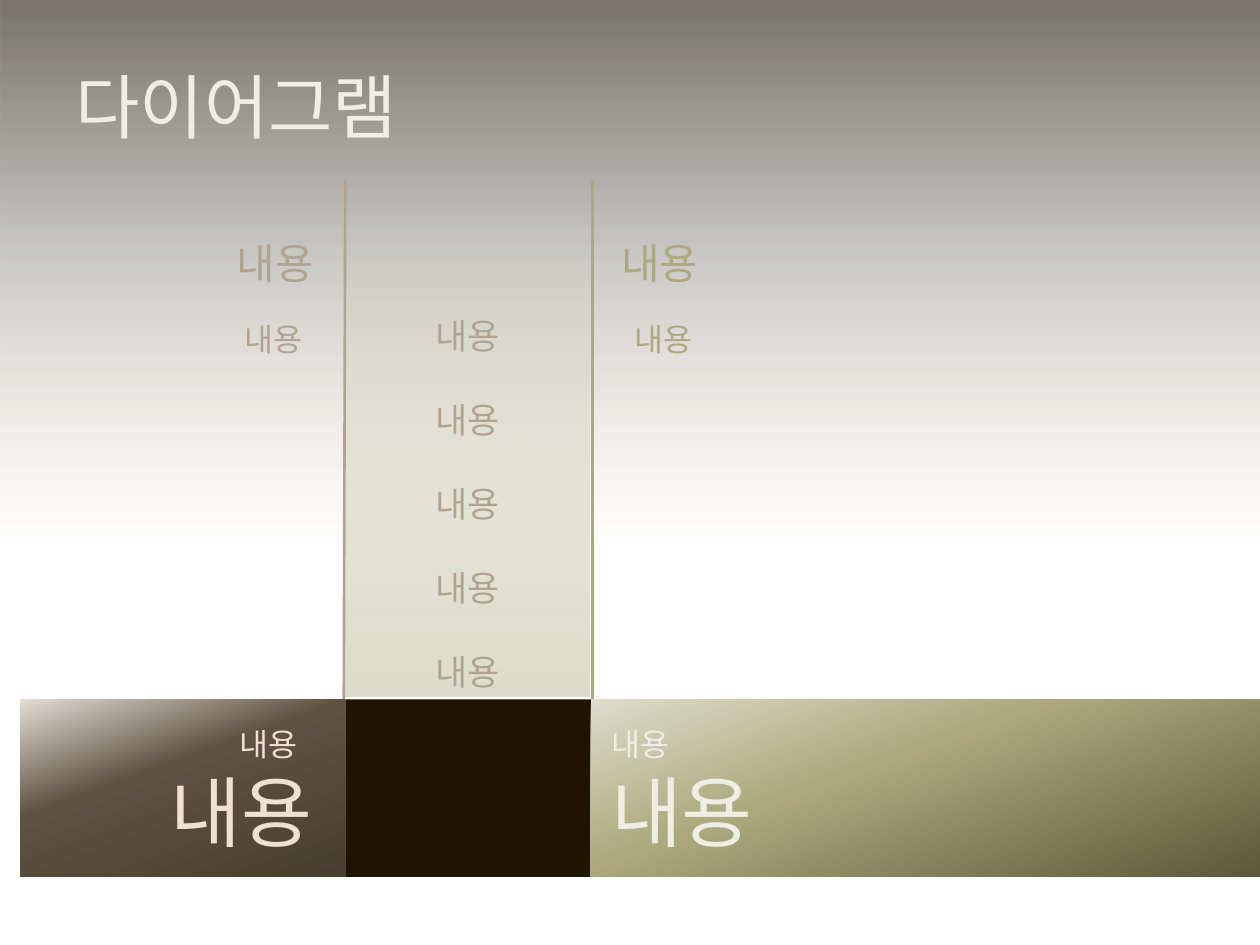
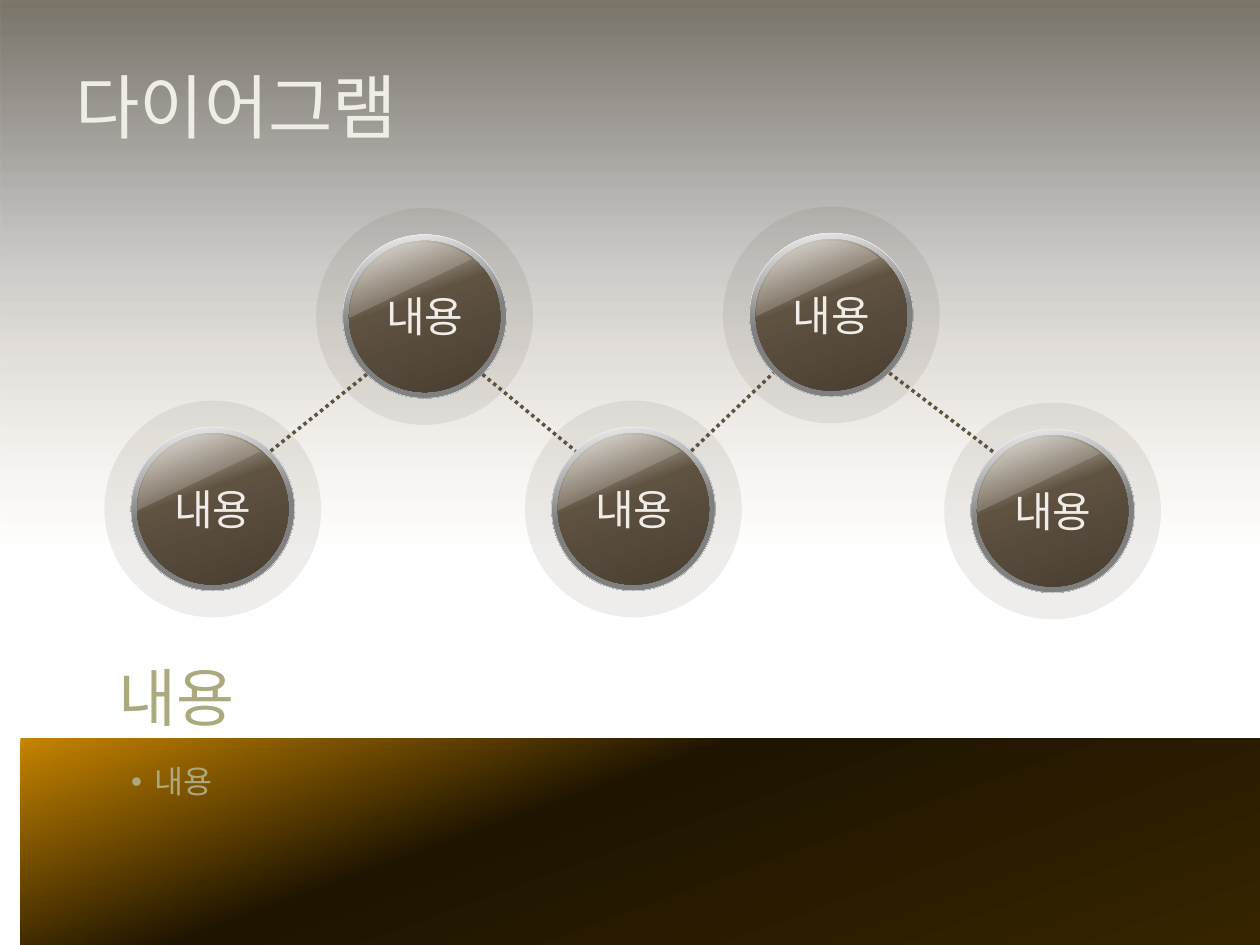
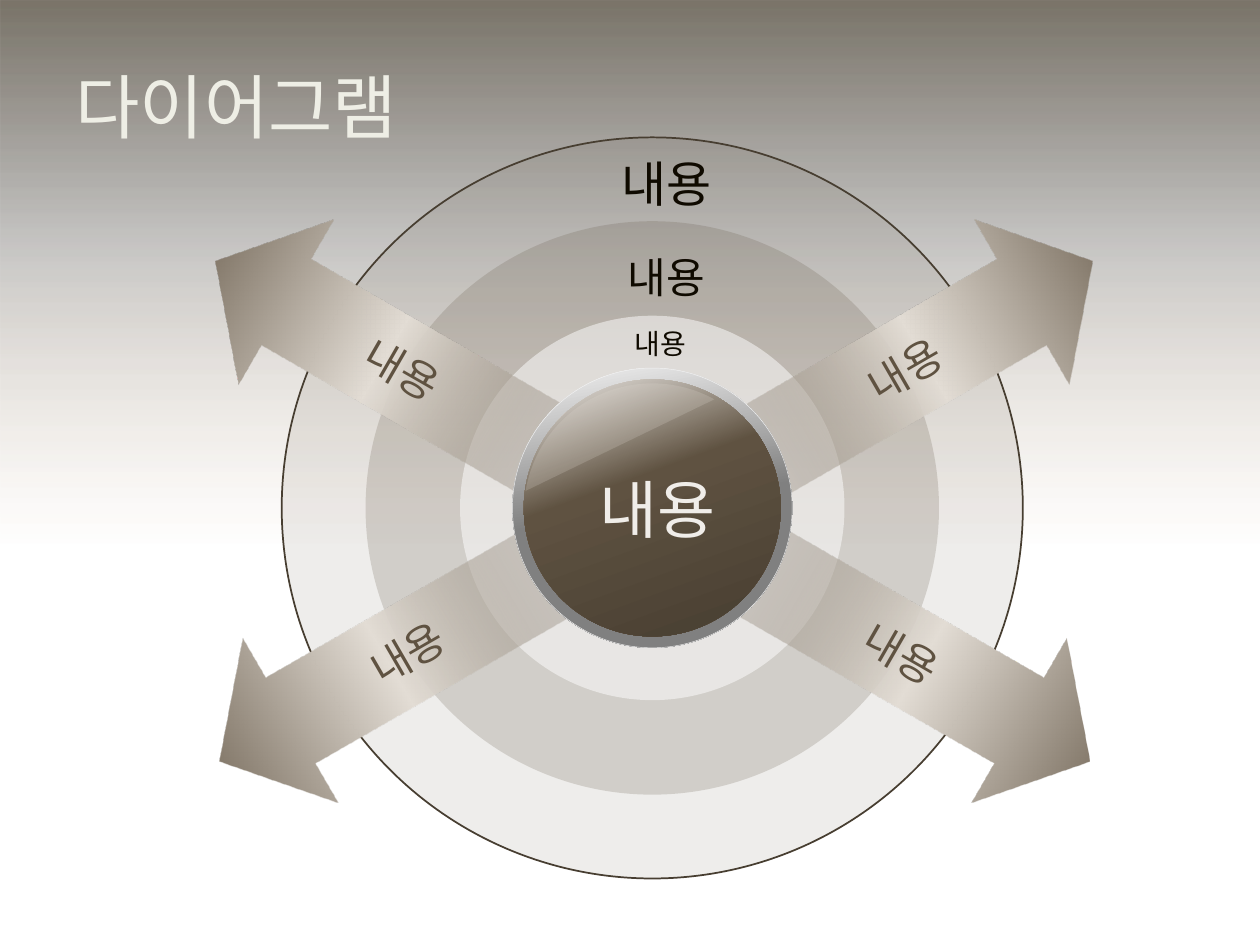
"""Build three diagram slides that share a faded top band and a title style."""
from dataclasses import dataclass
from math import copysign, sqrt
from typing import NamedTuple

from pptx import Presentation
from pptx.dml.color import RGBColor
from pptx.enum.dml import MSO_LINE
from pptx.enum.shapes import MSO_CONNECTOR, MSO_SHAPE
from pptx.enum.text import MSO_ANCHOR, MSO_AUTO_SIZE, PP_ALIGN
from pptx.oxml import parse_xml
from pptx.oxml.ns import nsdecls, qn
from pptx.util import Cm, Pt

RECT, OVAL, CHORD, ARROW = (MSO_SHAPE.RECTANGLE, MSO_SHAPE.OVAL,
                            MSO_SHAPE.CHORD, MSO_SHAPE.RIGHT_ARROW)
STRAIGHT, DOTTED = MSO_CONNECTOR.STRAIGHT, MSO_LINE.ROUND_DOT
LEFT, CENTER, RIGHT = PP_ALIGN.LEFT, PP_ALIGN.CENTER, PP_ALIGN.RIGHT
TOP, MIDDLE, BOTTOM = MSO_ANCHOR.TOP, MSO_ANCHOR.MIDDLE, MSO_ANCHOR.BOTTOM
GROW = MSO_AUTO_SIZE.SHAPE_TO_FIT_TEXT
TITLE_AND_BODY, TITLE_ONLY = 1, 5
WORD = "내용"


class Box(NamedTuple):
    left: float
    top: float
    width: float
    height: float


class Stop(NamedTuple):
    position: int
    color: str
    opacity: int = 100


class Fill(NamedTuple):
    stops: tuple[Stop, ...]
    angle: int = 0


class Outline(NamedTuple):
    color: str
    width: float


def plain(color: str, opacity: int = 100) -> Fill:
    return Fill((Stop(0, color, opacity),))


def diagonal(start: str, middle: str, end: str) -> Fill:
    return Fill((Stop(0, start), Stop(40, middle), Stop(100, end)), 70)


@dataclass(frozen=True)
class Theme:
    heading_font: str = "DejaVu Sans"
    body_font: str = "Arial"
    title: int = 40
    giant: int = 44
    large: int = 36
    outer: int = 28
    medium: int = 24
    item: int = 20
    small: int = 18
    tiny: int = 16
    ivory: str = "EEEEE5"
    cream: str = "F0E0D1"
    pearl: str = "F0EDE9"
    sand: str = "B2A390"
    olive: str = "ABA97D"
    brown: str = "5F5241"
    umber: str = "473E31"
    linen: str = "E3DDD5"
    coffee: str = "1E1400"
    ink: str = "0F0A00"
    silver: str = "F2F2F2"
    gray: str = "808080"
    sage: str = "DDDDCB"
    moss: str = "5A593A"
    white: str = "FFFFFF"


THEME = Theme()
BAND_FILL = Fill((Stop(0, THEME.coffee, 59), Stop(45, THEME.ink, 23),
                  Stop(100, "996633", 0)), 90)
COLUMN_FILL = Fill((Stop(0, "CDCBB1", 0), Stop(100, THEME.sage)), 90)
BROWN_FILL = diagonal(THEME.linen, THEME.brown, THEME.umber)
OLIVE_FILL = diagonal(THEME.sage, THEME.olive, THEME.moss)
FLOOR_FILL = diagonal("C68400", THEME.coffee, "362400")
RIM_FILL = Fill((Stop(0, THEME.silver), Stop(50, THEME.gray), Stop(100, THEME.gray)), 80)
BALL_FILL = diagonal("F1EEEA", THEME.brown, THEME.umber)
ARROW_FILL = Fill((Stop(0, THEME.brown, 0), Stop(50, THEME.linen), Stop(100, THEME.brown)))
GLOSS_FILL = plain(THEME.linen, 20)


@dataclass(frozen=True)
class Label:
    box: Box
    size: int
    color: str
    align: PP_ALIGN = LEFT
    anchor: MSO_ANCHOR = TOP
    wrap: bool = False
    inset: bool = True
    spacing: float = 1.0


@dataclass(frozen=True)
class Orb:
    x: float
    y: float
    rim: float
    ball: float
    gloss_drop: float
    gloss_angles: tuple[float, float]
    halo: float = 0


@dataclass(frozen=True)
class Ray:
    left: float
    top: float
    rotation: float
    flip: str = ""


def lengths(box: Box) -> list[Cm]:
    return [Cm(value) for value in box]


def around(x: float, y: float, size: float) -> Box:
    return Box(x - size / 2, y - size / 2, size, size)


def color_xml(stop: Stop) -> str:
    return f'<a:srgbClr val="{stop.color}"><a:alpha val="{stop.opacity * 1000}"/></a:srgbClr>'


def paint(shape, fill: Fill) -> None:
    if len(fill.stops) == 1:
        xml = f'<a:solidFill {nsdecls("a")}>{color_xml(fill.stops[0])}</a:solidFill>'
    else:
        stops = "".join(f'<a:gs pos="{stop.position * 1000}">{color_xml(stop)}</a:gs>'
                        for stop in fill.stops)
        xml = (f'<a:gradFill {nsdecls("a")} rotWithShape="1"><a:gsLst>{stops}</a:gsLst>'
               f'<a:lin ang="{fill.angle * 60000}" scaled="0"/></a:gradFill>')
    shape.fill.background()
    properties = shape.element.spPr
    properties.replace(properties.find(qn("a:noFill")), parse_xml(xml))


def draw(shapes, kind: MSO_SHAPE, box: Box, fill: Fill, outline: Outline | None = None):
    shape = shapes.add_shape(kind, *lengths(box))
    shape.shadow.inherit = False
    paint(shape, fill)
    if outline:
        shape.line.color.rgb = RGBColor.from_string(outline.color)
        shape.line.width = Pt(outline.width)
    else:
        shape.line.fill.background()
    return shape


def draw_line(shapes, start: tuple[float, float], end: tuple[float, float],
              outline: Outline, dash: MSO_LINE | None = None) -> None:
    line = shapes.add_connector(STRAIGHT, *(Cm(value) for value in (*start, *end)))
    line.line.color.rgb = RGBColor.from_string(outline.color)
    line.line.width = Pt(outline.width)
    if dash:
        line.line.dash_style = dash
    line.element.spPr.append(parse_xml(f'<a:effectLst {nsdecls("a")}/>'))


def write(paragraph, text: str, size: int, color: str, align: PP_ALIGN = LEFT,
          font: str = THEME.body_font) -> None:
    paragraph.alignment = align
    run = paragraph.add_run()
    run.text = text
    run.font.name = font
    run.font.size = Pt(size)
    run.font.color.rgb = RGBColor.from_string(color)


def draw_label(shapes, label: Label) -> None:
    frame = shapes.add_textbox(*lengths(label.box)).text_frame
    frame.word_wrap = label.wrap
    frame.auto_size = GROW
    frame.vertical_anchor = label.anchor
    if not label.inset:
        frame.margin_left = frame.margin_right = frame.margin_top = frame.margin_bottom = 0
    paragraph = frame.paragraphs[0]
    paragraph.line_spacing = label.spacing
    write(paragraph, WORD, label.size, label.color, label.align)


def draw_orb(shapes, orb: Orb) -> None:
    parts = shapes.add_group_shape().shapes
    if orb.halo:
        draw(parts, OVAL, around(orb.x, orb.y, orb.halo), plain(THEME.brown, 10))
    draw(parts, OVAL, around(orb.x, orb.y, orb.rim), RIM_FILL, Outline(THEME.silver, 0.25))
    draw(parts, OVAL, around(orb.x, orb.y, orb.ball), BALL_FILL)
    gloss = draw(parts, CHORD, around(orb.x, orb.y + orb.gloss_drop, orb.ball), GLOSS_FILL)
    gloss.adjustments[0], gloss.adjustments[1] = orb.gloss_angles
    gloss.rotation = 90


def draw_ray(shapes, ray: Ray) -> None:
    arrow = draw(shapes, ARROW, Box(ray.left, ray.top, 7.87, 3.84), ARROW_FILL)
    arrow.adjustments[0], arrow.adjustments[1] = 0.52, 0.43
    arrow.rotation = ray.rotation
    if ray.flip:
        arrow.element.spPr.xfrm.set(ray.flip, "1")
    frame = arrow.text_frame
    frame.word_wrap = False
    frame.vertical_anchor = MIDDLE
    write(frame.paragraphs[0], WORD, THEME.medium, THEME.brown, CENTER)


def add_titled_slide(deck, layout: int):
    slide = deck.slides.add_slide(deck.slide_layouts[layout])
    title = slide.shapes.title
    title.left, title.top, title.width, title.height = lengths(Box(1.27, 0.84, 22.86, 2.57))
    title.text_frame.vertical_anchor = MIDDLE
    write(title.text_frame.paragraphs[0], "다이어그램", THEME.title, THEME.ivory,
          font=THEME.heading_font)
    return slide


def put_band_on_master(deck, slide) -> None:
    band = draw(slide.shapes, RECT, Box(0, 0, 25.4, 11), BAND_FILL)
    band.element.nvSpPr.cNvPr.set("id", "99")
    deck.slide_master.shapes.element.insert(2, band.element)


def build_columns(slide) -> None:
    shapes = slide.shapes
    floor, panel_height, head = 14.1, 3.58, 3.63
    column = draw(shapes, RECT, Box(6.96, 3.73, 4.93, 10.31), COLUMN_FILL)
    frame = column.text_frame
    frame.margin_top = Cm(1.8)
    frame.vertical_anchor = MIDDLE
    for index in range(5):
        paragraph = frame.add_paragraph() if index else frame.paragraphs[0]
        paragraph.line_spacing = 2.0
        write(paragraph, WORD, THEME.item, THEME.sand, CENTER)
    draw(shapes, RECT, Box(6.96, floor, 4.98, panel_height), plain(THEME.coffee))
    draw_line(shapes, (6.93, floor), (6.96, head), Outline(THEME.sand, 1.5))
    draw_line(shapes, (11.94, floor), (11.94, head), Outline(THEME.olive, 1.5))
    draw(shapes, RECT, Box(0.41, floor, 6.55, panel_height), BROWN_FILL)
    draw(shapes, RECT, Box(11.91, floor, 13.49, panel_height), OLIVE_FILL)
    for label in (
        Label(Box(3.02, 15.29, 3.53, 2.11), THEME.giant, THEME.cream, RIGHT),
        Label(Box(4.57, 14.5, 1.78, 1.02), THEME.small, THEME.cream),
        Label(Box(12.07, 15.29, 3.56, 2.11), THEME.giant, THEME.ivory),
        Label(Box(12.07, 14.5, 1.78, 1.02), THEME.small, THEME.ivory),
        Label(Box(4.65, 4.78, 1.68, 1.02), THEME.medium, THEME.sand, RIGHT, inset=False),
        Label(Box(1.45, 5.56, 4.9, 7.87), THEME.small, THEME.sand, RIGHT,
              wrap=True, spacing=2.0),
        Label(Box(12.55, 5.56, 12.27, 7.87), THEME.small, THEME.olive,
              wrap=True, spacing=2.0),
        Label(Box(12.52, 4.78, 1.68, 1.02), THEME.medium, THEME.olive, inset=False),
    ):
        draw_label(shapes, label)


def build_zigzag(slide) -> None:
    shapes = slide.shapes
    draw(shapes, RECT, Box(0.41, 14.88, 24.99, 4.17), FLOOR_FILL)
    centers = ((4.29, 10.26), (8.56, 6.38), (12.77, 10.26), (16.76, 6.35), (21.22, 10.3))
    orbs = [Orb(x, y, 3.3, 3.05, 0.03, (53.946, 131.298), 4.37) for x, y in centers]
    for orb in orbs:
        draw_orb(shapes, orb)
        draw_label(shapes, Label(Box(orb.x - 1.47, orb.y - 0.64, 2.95, 1.27),
                                 THEME.medium, THEME.pearl, CENTER, wrap=True))
    for near, far in zip(orbs, orbs[1:]):
        reach = near.rim / 2 / sqrt(2)
        drop = copysign(reach, far.y - near.y)
        draw_line(shapes, (near.x + reach, near.y + drop), (far.x - reach, far.y - drop),
                  Outline(THEME.brown, 2), DOTTED)
    body = slide.placeholders[1]
    shapes.element.append(body.element)
    body.left, body.top, body.width, body.height = lengths(Box(2.39, 15.24, 20.22, 3.3))
    body.text_frame.auto_size = GROW
    point = body.text_frame.paragraphs[0]
    properties = point._p.get_or_add_pPr()
    properties.set("marL", str(Cm(0.48)))
    properties.set("indent", str(-Cm(0.48)))
    properties.append(parse_xml(f'<a:buChar {nsdecls("a")} char="•"/>'))
    point.space_before = Pt(0)
    write(point, WORD, THEME.small, THEME.olive)
    draw_label(shapes, Label(Box(2.39, 13.28, 20.62, 1.52), THEME.large, THEME.olive,
                             anchor=BOTTOM, wrap=True, inset=False))


def build_rings(slide) -> None:
    shapes = slide.shapes
    x, y = 13.15, 10.24
    rings = shapes.add_group_shape().shapes
    draw(rings, OVAL, around(x, y, 14.94), plain(THEME.brown, 10), Outline(THEME.umber, 1))
    draw(rings, OVAL, around(x, y, 11.56), plain(THEME.brown, 20))
    draw(rings, OVAL, around(x, y, 7.75), plain(THEME.white, 50))
    for ray in (Ray(14.61, 11.46, 30), Ray(14.68, 5.31, 330),
                Ray(3.91, 11.46, 150, "flipV"), Ray(3.81, 5.31, 30, "flipH")):
        draw_ray(shapes, ray)
    draw_orb(shapes, Orb(x, y, 5.64, 5.18, 0.08, (59.629, 125.316)))
    for label in (
        Label(Box(11.84, 9.37, 3.05, 1.8), THEME.large, THEME.pearl),
        Label(Box(12.55, 6.45, 1.68, 0.94), THEME.tiny, THEME.ink),
        Label(Box(12.4, 4.95, 2.21, 1.24), THEME.medium, THEME.ink),
        Label(Box(12.27, 2.97, 2.51, 1.45), THEME.outer, THEME.ink),
    ):
        draw_label(shapes, label)


def main() -> None:
    deck = Presentation()
    deck.slide_width, deck.slide_height = Cm(25.4), Cm(19.05)
    columns = add_titled_slide(deck, TITLE_ONLY)
    put_band_on_master(deck, columns)
    build_columns(columns)
    build_zigzag(add_titled_slide(deck, TITLE_AND_BODY))
    build_rings(add_titled_slide(deck, TITLE_ONLY))
    deck.save("out.pptx")


if __name__ == "__main__":
    main()
